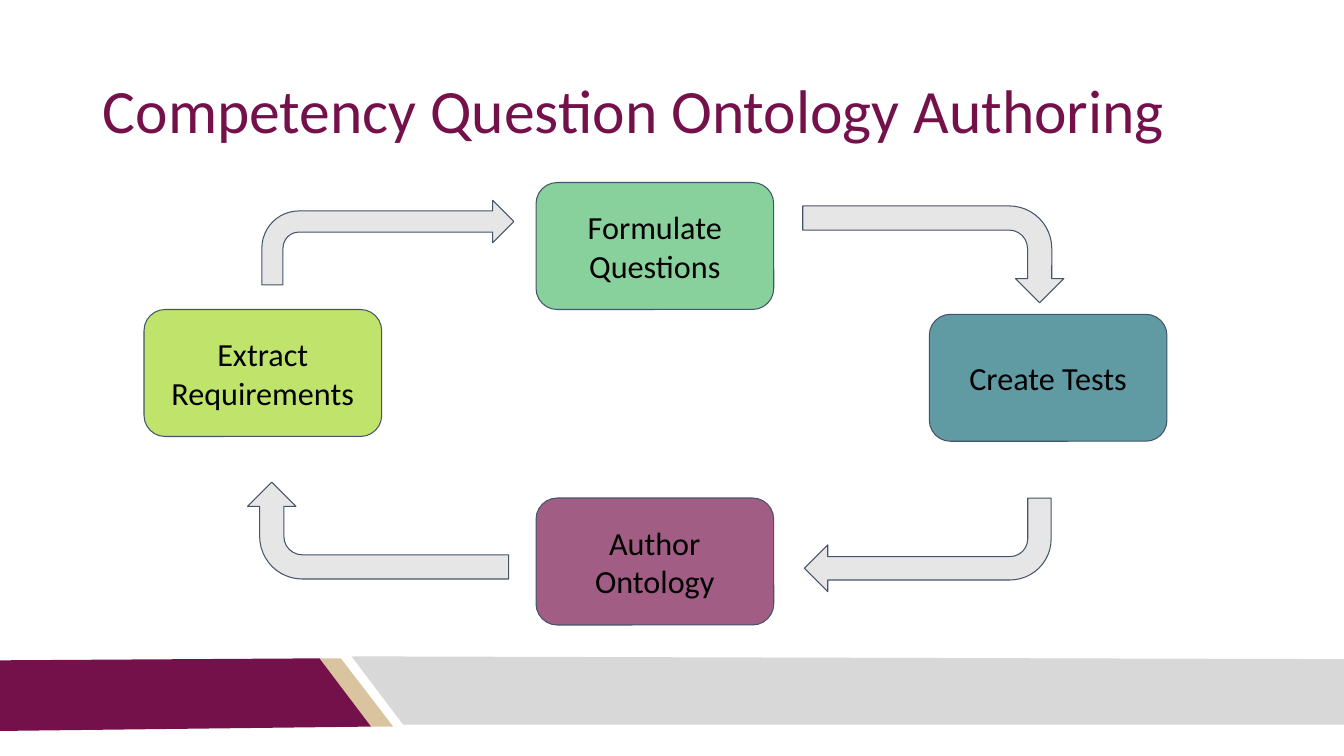
from lxml.etree import SubElement
from pptx import Presentation
from pptx.dml.color import RGBColor
from pptx.enum.shapes import MSO_SHAPE as Preset
from pptx.enum.text import MSO_ANCHOR as Anchor, PP_ALIGN as Align
from pptx.oxml.ns import qn
from pptx.util import Cm, Pt

COLORS = {
    "maroon": "75114A", "gold": "D9C49F", "band": "D8D8D8", "arrow": "E7E6E6",
    "outline": "44546A", "text": "000000", "lime": "B0DD46", "green": "88D19D",
    "teal": "39818D",
}
BOX_SIZE = 5.99, 3.2
# lines of text, left, top, colour, opacity in percent
STEPS = [
    (["Extract", "Requirements"], 3.63, 7.8, "lime", 80),
    (["Formulate Questions"], 13.51, 4.6, "green", 100),
    (["Create Tests"], 23.42, 7.92, "teal", 80),
    (["Author Ontology"], 13.51, 12.55, "maroon", 68),
]
# left, top, width, height, rotation
ARROWS = [
    (6.6, 5.05, 6.35, 2.13, 0),
    (20.27, 12.55, 6.22, 2.36, 180),
    (22.3, 3.12, 2.44, 6.58, 90),
    (8.31, 10.08, 2.44, 6.58, 270),
]
FOOTER = [
    ("gold", [(8.03, 16.59), (8.59, 16.59), (9.91, 18.31), (9.32, 18.31)]),
    ("maroon", [(0, 16.64), (8.05, 16.59), (9.35, 18.31), (0, 18.42)]),
    ("band", [(8.86, 16.54), (33.87, 16.61), (33.87, 18.26), (10.16, 18.26)]),
]


def set_all(target, values):
    for name, value in values.items():
        setattr(target, name, value)


class SlideBuilder:
    """Holds the slide and the style shared by its elements."""

    font_name = "Calibri"
    frame_format = {
        "word_wrap": True, "vertical_anchor": Anchor.MIDDLE,
        "margin_left": Cm(0.25), "margin_right": Cm(0.25),
        "margin_top": Cm(0.25), "margin_bottom": Cm(0.25),
    }

    def __init__(self, slide):
        self.shapes = slide.shapes

    def color(self, name):
        return RGBColor.from_string(COLORS[name])

    def paint(self, shape, fill, opacity=100, outlined=True):
        shape.shadow.inherit = False
        shape.fill.solid()
        shape.fill.fore_color.rgb = self.color(fill)
        if opacity < 100:
            color_element = shape._element.spPr.find(qn("a:solidFill"))[0]
            SubElement(color_element, qn("a:alpha"), val=str(opacity * 1000))
        if outlined:
            shape.line.color.rgb = self.color("outline")
            shape.line.width = Pt(0.75)
        else:
            shape.line.fill.background()

    def add_text(self, shape, lines, size, color, paragraph_format):
        frame = shape.text_frame
        set_all(frame, self.frame_format)
        frame.text = "\n".join(lines)
        for paragraph in frame.paragraphs:
            set_all(paragraph, paragraph_format)
            set_all(paragraph.font, {"name": self.font_name, "size": Pt(size)})
            paragraph.font.color.rgb = self.color(color)

    def title(self, text, left, top, width, height):
        box = self.shapes.add_textbox(Cm(left), Cm(top), Cm(width), Cm(height))
        self.add_text(box, [text], 44, "maroon", {"line_spacing": 0.9})

    def polygon(self, fill, points):
        start, *others = [(Cm(x), Cm(y)) for x, y in points]
        builder = self.shapes.build_freeform(*start)
        builder.add_line_segments(others)
        self.paint(builder.convert_to_shape(), fill, outlined=False)

    def preset(self, kind, left, top, width, height):
        return self.shapes.add_shape(kind, Cm(left), Cm(top), Cm(width), Cm(height))

    def step(self, lines, left, top, fill, opacity):
        box = self.preset(Preset.ROUNDED_RECTANGLE, left, top, *BOX_SIZE)
        self.paint(box, fill, opacity)
        self.add_text(box, lines, 23, "text", {"alignment": Align.CENTER})

    def bent_arrow(self, left, top, width, height, rotation):
        arrow = self.preset(Preset.BENT_ARROW, left, top, width, height)
        arrow.rotation = rotation
        arrow.adjustments[3] = 0.44
        self.paint(arrow, "arrow")


def main():
    presentation = Presentation()
    set_all(presentation, {"slide_width": Cm(33.87), "slide_height": Cm(19.05)})
    builder = SlideBuilder(presentation.slides.add_slide(presentation.slide_layouts[6]))
    for part in FOOTER:
        builder.polygon(*part)
    builder.title("Competency Question Ontology Authoring", 2.34, 1.02, 29.21, 3.68)
    for step in STEPS:
        builder.step(*step)
    for arrow in ARROWS:
        builder.bent_arrow(*arrow)
    presentation.save("out.pptx")


if __name__ == "__main__":
    main()
